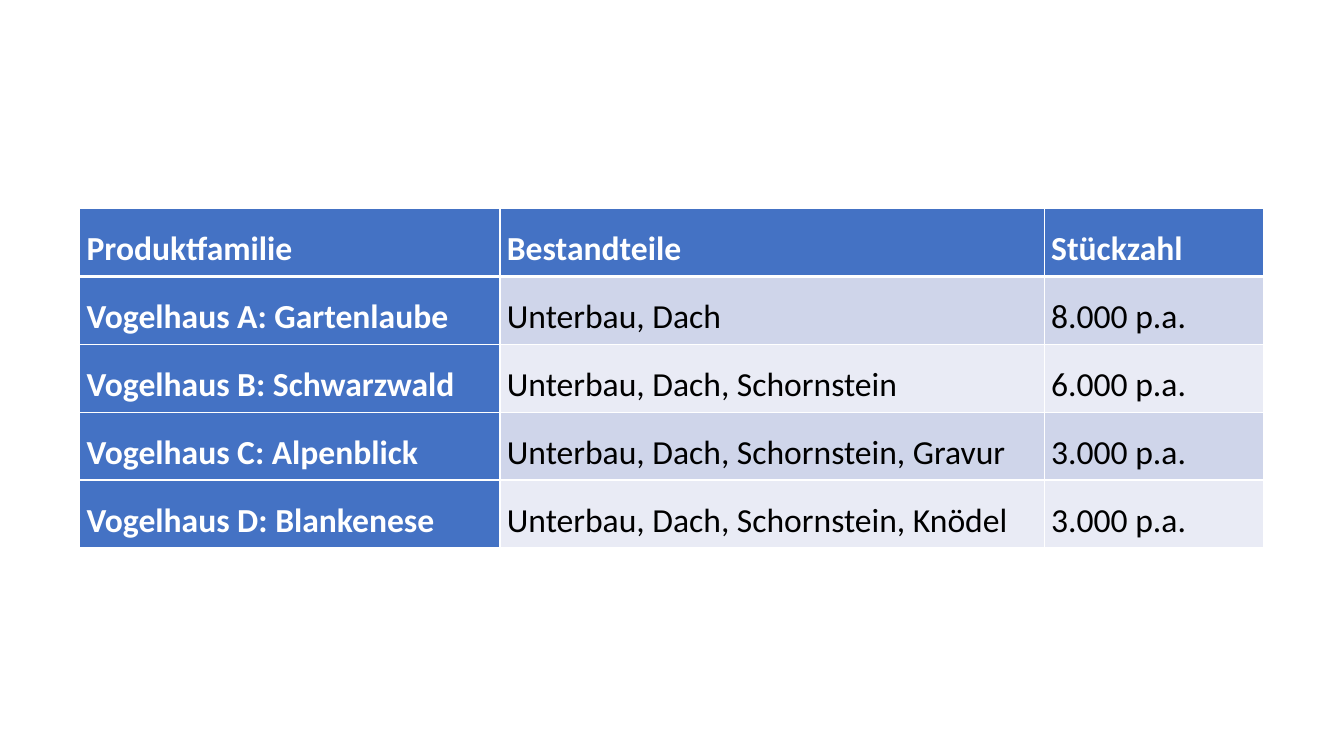
from dataclasses import dataclass

from lxml.etree import SubElement
from pptx import Presentation
from pptx.dml.color import RGBColor
from pptx.enum.text import PP_ALIGN
from pptx.oxml.ns import qn
from pptx.table import _Cell
from pptx.util import Pt

COLORS = {
    "head": "4472C4",
    "odd": "CFD5EA",
    "even": "E9EBF5",
    "line": "FFFFFF",
    "light": "FFFFFF",
    "dark": "000000",
}
LEFT, TOP = 56.9, 149
WIDTHS = (300.2, 388.8, 157)
HEIGHT = 48.5


@dataclass(frozen=True)
class Entry:
    """One row of the table."""
    house: str
    pieces: str
    count: str


ENTRIES = (
    Entry("Produktfamilie", "Bestandteile", "Stückzahl"),
    Entry("Vogelhaus A: Gartenlaube", "Unterbau, Dach", "8.000 p.a."),
    Entry("Vogelhaus B: Schwarzwald", "Unterbau, Dach, Schornstein", "6.000 p.a."),
    Entry("Vogelhaus C: Alpenblick", "Unterbau, Dach, Schornstein, Gravur", "3.000 p.a."),
    Entry("Vogelhaus D: Blankenese", "Unterbau, Dach, Schornstein, Knödel", "3.000 p.a."),
)


def write_text(cell: _Cell, text: str, *, color: str, bold: bool,
               size: float = 24, font: str = "Calibri") -> None:
    """Write formatted, justified text into a cell."""
    cell.margin_left = cell.margin_right = Pt(5)
    cell.margin_top = cell.margin_bottom = Pt(0)
    para = cell.text_frame.paragraphs[0]
    para.alignment = PP_ALIGN.JUSTIFY
    para.line_spacing = 1.5
    para.space_after = Pt(8)
    run = para.add_run()
    run.text = text
    run.font.name = font
    run.font.size = Pt(size)
    run.font.bold = bold
    run.font.color.rgb = RGBColor.from_string(COLORS[color])


def fill_cell(cell: _Cell, color: str) -> None:
    """Give a cell a solid fill."""
    cell.fill.solid()
    cell.fill.fore_color.rgb = RGBColor.from_string(COLORS[color])


def draw_edges(cell: _Cell, **widths: float) -> None:
    """Draw the edges L, R, T and B in the given widths."""
    props = cell._tc.get_or_add_tcPr()
    for spot, side in enumerate("LRTB"):
        edge = SubElement(props, qn(f"a:ln{side}"), w=str(Pt(widths[side])))
        paint = SubElement(edge, qn("a:solidFill"))
        SubElement(paint, qn("a:srgbClr"), val=COLORS["line"])
        props.insert(spot, edge)


def draw_cell(cell: _Cell, text: str, row: int, col: int) -> None:
    """Style one cell by its place in the table."""
    head = row == 0 or col == 0
    band = "odd" if row % 2 else "even"
    fill_cell(cell, "head" if head else band)
    write_text(cell, text, color="light" if head else "dark", bold=head)
    draw_edges(cell, L=1, R=1, T=3 if row == 1 else 1, B=3 if row == 0 else 1)


def main() -> None:
    """Build and save the slide."""
    deck = Presentation()
    deck.slide_width, deck.slide_height = Pt(960), Pt(540)
    slide = deck.slides.add_slide(deck.slide_layouts[6])
    table = slide.shapes.add_table(
        len(ENTRIES), len(WIDTHS), Pt(LEFT), Pt(TOP),
        Pt(sum(WIDTHS)), Pt(HEIGHT * len(ENTRIES))).table
    table.first_col = True
    for column, width in zip(table.columns, WIDTHS):
        column.width = Pt(width)
    for row, entry in enumerate(ENTRIES):
        table.rows[row].height = Pt(HEIGHT)
        for col, text in enumerate((entry.house, entry.pieces, entry.count)):
            draw_cell(table.cell(row, col), text, row, col)
    deck.save("out.pptx")


main()
